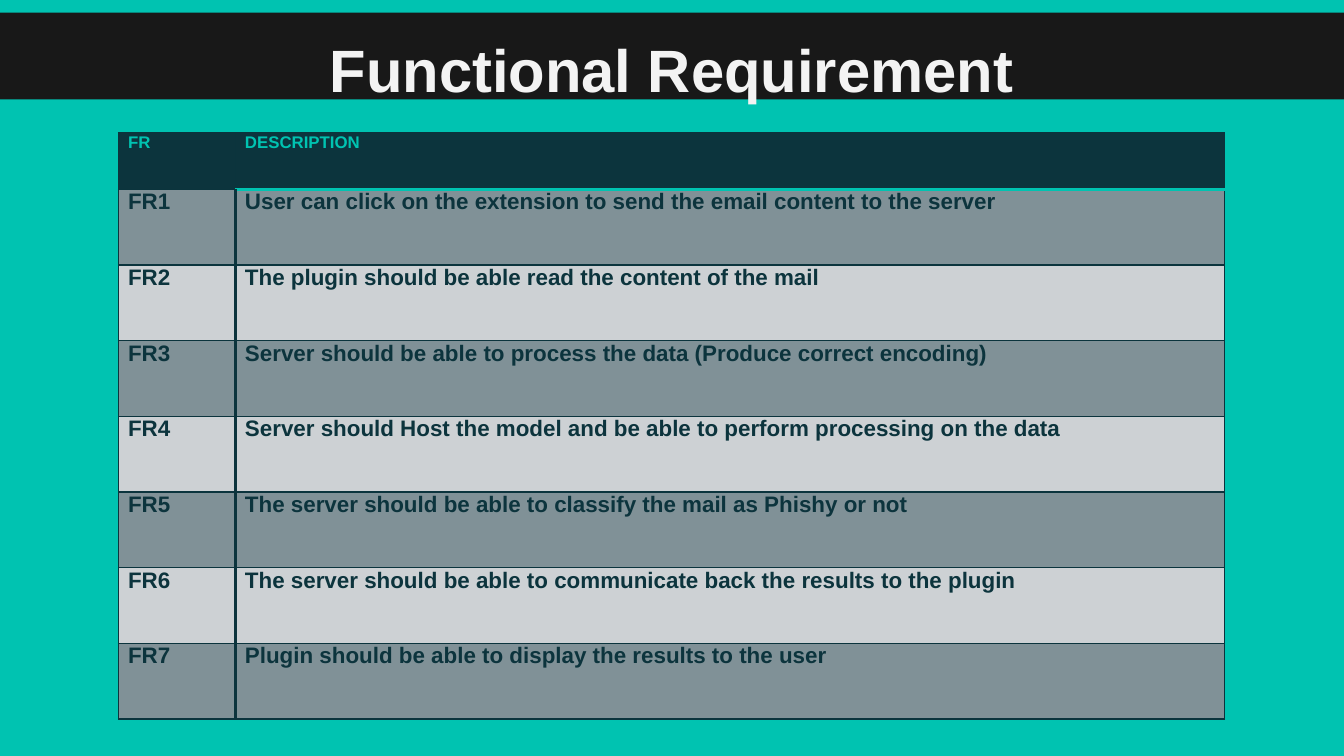
from lxml.etree import SubElement as Sub
from pptx import Presentation
from pptx.dml.color import RGBColor as Color
from pptx.enum.shapes import MSO_SHAPE as Kind
from pptx.enum.text import MSO_ANCHOR as Anchor, PP_ALIGN as Align
from pptx.oxml.ns import qn
from pptx.util import Cm, Pt

TEAL = Color(0x00, 0xC3, 0xB1)
BLACK = Color(0x18, 0x18, 0x18)
WHITE = Color(0xF3, 0xF3, 0xF3)
DARK = Color(0x0C, 0x34, 0x3D)
LINE = Color(0x0B, 0x34, 0x3D)
GREY = Color(0x80, 0x91, 0x97)
PALE = Color(0xCD, 0xD1, 0xD4)

HEAD = ("FR", "DESCRIPTION")
NEEDS = (
    "User can click on the extension to send the email content to the server",
    "The plugin should be able read the content of the mail",
    "Server should be able to process the data (Produce correct encoding)",
    "Server should Host the model and be able to perform processing on the data",
    "The server should be able to classify the mail as Phishy or not",
    "The server should be able to communicate back the results to the plugin",
    "Plugin should be able to display the results to the user",
)


def set_font(para, size, color):
    font = para.font
    font.name = "Arial"
    font.size = Pt(size)
    font.bold = True
    font.color.rgb = color


def add_edge(cell, side, color, width):
    line = Sub(cell._tc.get_or_add_tcPr(), qn(f"a:ln{side}"), w=str(Pt(width)))
    fill = Sub(line, qn("a:solidFill"))
    Sub(fill, qn("a:srgbClr"), val=str(color))


def fill_cell(cell, text, size, ink, back, edges):
    cell.text = text
    cell.vertical_anchor = Anchor.TOP
    cell.margin_left = cell.margin_right = Cm(0.18)
    cell.margin_top = cell.margin_bottom = 0
    set_font(cell.text_frame.paragraphs[0], size, ink)
    for side in "LRTB":
        add_edge(cell, side, *edges.get(side, (LINE, 0.75)))
    cell.fill.solid()
    cell.fill.fore_color.rgb = back


def add_grid(slide):
    rows = [HEAD] + [(f"FR{i}", need) for i, need in enumerate(NEEDS, 1)]
    frame = slide.shapes.add_table(
        len(rows), 2, Cm(2.24), Cm(2.51), Cm(20.9), Cm(11.05))
    grid = frame.table
    grid.horz_banding = False
    grid.columns[0].width = Cm(2.21)
    grid.columns[1].width = Cm(18.69)
    for r, row in enumerate(rows):
        grid.rows[r].height = Cm(1.43 if r else 1.07)
        back = (PALE if r % 2 == 0 else GREY) if r else DARK
        size, ink = (12, DARK) if r else (9, TEAL)
        for c, text in enumerate(row):
            edges = {}
            if r:
                edges["L" if c else "R"] = (DARK, 2)
            if c and r < 2:
                edges["T" if r else "B"] = (TEAL, 2)
            fill_cell(grid.cell(r, c), text, size, ink, back, edges)


def add_title(slide, text, width):
    bar = slide.shapes.add_shape(Kind.RECTANGLE, 0, Cm(0.24), width, Cm(1.64))
    bar.shadow.inherit = False
    bar.fill.solid()
    bar.fill.fore_color.rgb = BLACK
    bar.line.fill.background()
    frame = bar.text_frame
    frame.word_wrap = True
    frame.vertical_anchor = Anchor.TOP
    frame.margin_top = Cm(0.38)
    frame.margin_bottom = 0
    para = frame.paragraphs[0]
    para.text = text
    para.alignment = Align.CENTER
    set_font(para, 32, WHITE)


def main():
    deck = Presentation()
    deck.slide_width = Cm(25.4)
    deck.slide_height = Cm(14.29)
    slide = deck.slides.add_slide(deck.slide_layouts[6])
    back = slide.background.fill
    back.solid()
    back.fore_color.rgb = TEAL
    add_grid(slide)
    add_title(slide, "Functional Requirement", deck.slide_width)
    deck.save("out.pptx")


if __name__ == "__main__":
    main()
